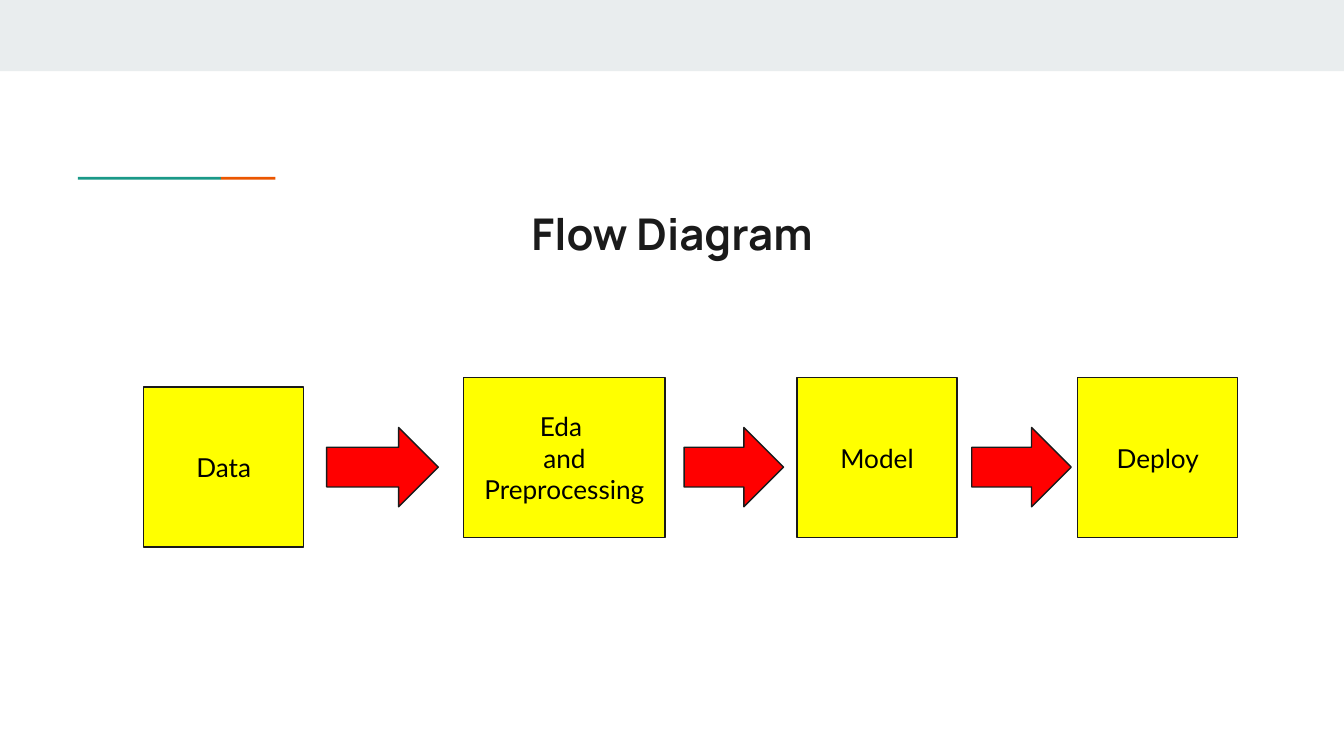
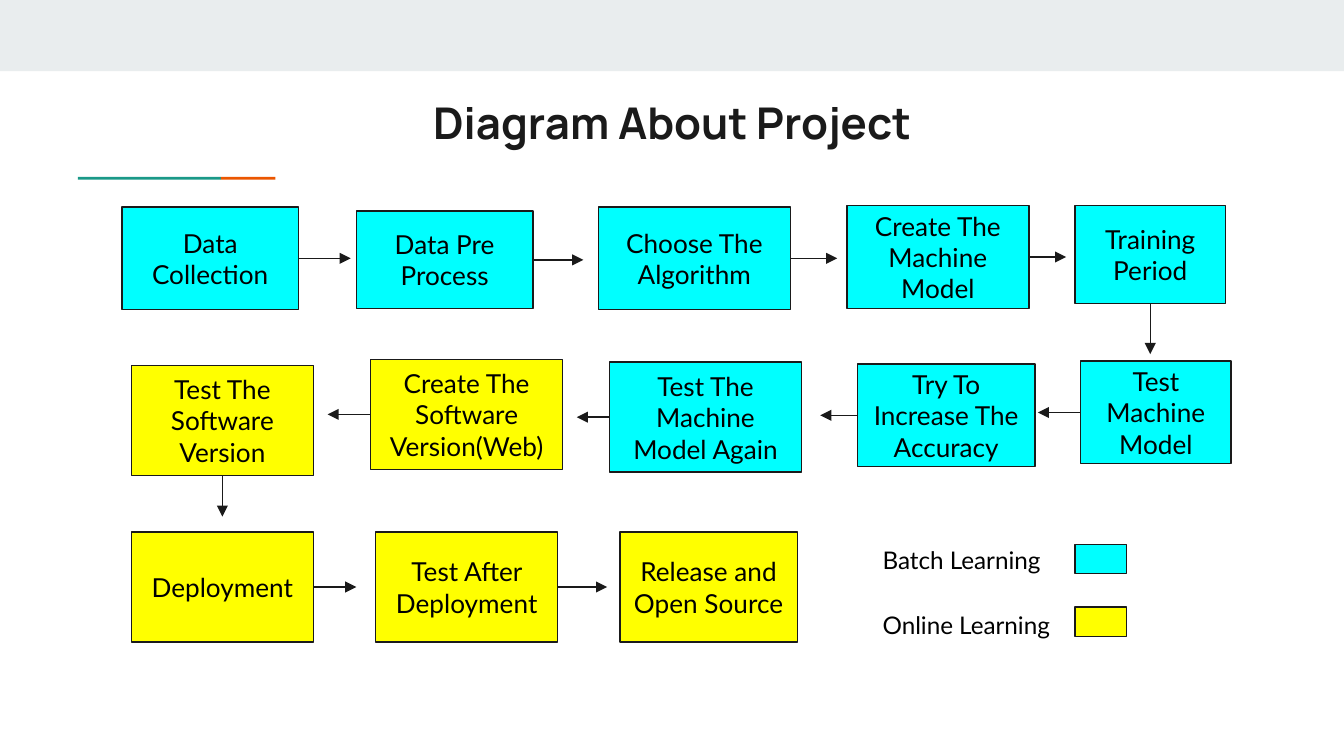
from lxml.etree import SubElement
from pptx import Presentation
from pptx.dml.color import RGBColor
from pptx.enum.shapes import MSO_CONNECTOR, MSO_SHAPE
from pptx.enum.text import MSO_ANCHOR, PP_ALIGN
from pptx.oxml.ns import qn
from pptx.util import Pt

BAND = RGBColor(0xE9, 0xED, 0xEE)
TEAL = RGBColor(0x1A, 0x99, 0x88)
ORANGE = RGBColor(0xEB, 0x56, 0x00)
INK = RGBColor(0x1A, 0x1A, 0x1A)
BLACK = RGBColor(0, 0, 0)
YELLOW = RGBColor(0xFF, 0xFF, 0)
CYAN = RGBColor(0, 0xFF, 0xFF)
RED = RGBColor(0xFF, 0, 0)

LEFT, BOTTOM, RIGHT = 1, 2, 3
STEP_TOP, STEP_SIZE = 202.3, 85.7
ARROW_TOP, ARROW_HEIGHT = 229, 42.5

STEPS = [
    ("Data", 77, 207.4, STEP_SIZE),
    ("Eda \nand Preprocessing", 248.4, STEP_TOP, 108),
    ("Model", 427, STEP_TOP, STEP_SIZE),
    ("Deploy", 577.4, STEP_TOP, STEP_SIZE),
]
BLOCK_ARROWS = [(175, 59.8), (366.5, 53.3), (520.6, 53.3)]

STAGES = [
    ("Data Collection", CYAN, 65.4, 110.9, 94.5, 55, RIGHT, 28),
    ("Data Pre Process", CYAN, 191, 113, 94.5, 52.5, RIGHT, 27),
    ("Choose The Algorithm", CYAN, 320.5, 110.9, 103, 55, RIGHT, 25),
    ("Create The Machine Model", CYAN, 453.7, 110.2, 97.5, 55, RIGHT, 20),
    ("Training Period", CYAN, 576, 110.2, 80.5, 52.5, BOTTOM, 27),
    ("Test Machine Model", CYAN, 579, 193.5, 80.5, 55, LEFT, 23),
    ("Try To Increase The Accuracy", CYAN, 459.4, 195, 95, 55, LEFT, 20),
    ("Test The Machine Model Again", CYAN, 326.5, 194, 103, 59, LEFT, 17.5),
    ("Create The Software Version(Web)", YELLOW, 198.5, 192.5, 103, 59, LEFT, 23),
    ("Test The Software Version", YELLOW, 70.4, 195.8, 97.5, 59, BOTTOM, 22),
    ("Deployment", YELLOW, 70.4, 285, 97.5, 59, RIGHT, 23),
    ("Test After Deployment", YELLOW, 201.3, 285, 97.5, 59, RIGHT, 26.5),
    ("Release and Open Source", YELLOW, 332.1, 285, 95, 59, None, 0),
]
LEGEND = [("Batch Learning", CYAN, 285, 291.6), ("Online Learning", YELLOW, 319.7, 325.3)]


class Deck:
    """Holds the shared style and the current slide."""

    def __init__(self):
        self.prs = Presentation()
        self.prs.slide_width, self.prs.slide_height = Pt(720), Pt(405)

    def slide(self, title, title_top):
        self.s = self.prs.slides.add_slide(self.prs.slide_layouts[6])
        self.shape(0, 0, 720, 38.2, BAND, line=None)
        self.shape(41.8, 94.8, 76.6, 1.5, TEAL, line=None)
        self.shape(118.4, 94.8, 29.2, 1.5, ORANGE, line=None)
        self.label(title, 57.4, title_top, 605.3, 42.5, size=23.4, font="Manrope",
                   color=INK, bold=True, align=PP_ALIGN.CENTER)

    def shape(self, x, y, w, h, fill, line=INK, kind=MSO_SHAPE.RECTANGLE):
        sp = self.s.shapes.add_shape(kind, Pt(x), Pt(y), Pt(w), Pt(h))
        sp.shadow.inherit = False
        sp.fill.solid()
        sp.fill.fore_color.rgb = fill
        if line is None:
            sp.line.fill.background()
        else:
            sp.line.color.rgb = line
            sp.line.width = Pt(0.75)
        return sp

    def text(self, sp, content, size=14, font="Lato", color=BLACK, bold=False,
             align=PP_ALIGN.CENTER, anchor=MSO_ANCHOR.MIDDLE):
        tf = sp.text_frame
        tf.word_wrap = True
        tf.vertical_anchor = anchor
        tf.margin_left = tf.margin_right = tf.margin_top = tf.margin_bottom = Pt(7.2)
        for i, part in enumerate(content.split("\n")):
            p = tf.add_paragraph() if i else tf.paragraphs[0]
            p.alignment = align
            r = p.add_run()
            r.text = part
            r.font.size, r.font.name, r.font.bold = Pt(size), font, bold
            r.font.color.rgb = color

    def label(self, content, x, y, w, h, **style):
        sp = self.s.shapes.add_textbox(Pt(x), Pt(y), Pt(w), Pt(h))
        self.text(sp, content, anchor=MSO_ANCHOR.TOP, **style)

    def box(self, content, x, y, w, h, fill):
        sp = self.shape(x, y, w, h, fill)
        self.text(sp, content)
        return sp

    def arrow(self, sp, side, length):
        mid_x, mid_y = sp.left + sp.width // 2, sp.top + sp.height // 2
        x, y, dx, dy = {
            LEFT: (sp.left, mid_y, -1, 0),
            BOTTOM: (mid_x, sp.top + sp.height, 0, 1),
            RIGHT: (sp.left + sp.width, mid_y, 1, 0),
        }[side]
        c = self.s.shapes.add_connector(MSO_CONNECTOR.STRAIGHT, x, y,
                                        x + dx * Pt(length), y + dy * Pt(length))
        c.begin_connect(sp, side)
        c.line.color.rgb = INK
        c.line.width = Pt(0.75)
        pr = c.element.spPr
        SubElement(pr.find(qn("a:ln")), qn("a:tailEnd"), type="triangle")
        SubElement(pr, qn("a:effectLst"))


def main():
    deck = Deck()

    deck.slide("Flow Diagram", 103.7)
    for content, x, y, w in STEPS:
        deck.box(content, x, y, w, STEP_SIZE, YELLOW)
    for x, w in BLOCK_ARROWS:
        deck.shape(x, ARROW_TOP, w, ARROW_HEIGHT, RED, kind=MSO_SHAPE.RIGHT_ARROW)

    deck.slide("Diagram About Project", 44)
    for content, fill, x, y, w, h, side, length in STAGES:
        sp = deck.box(content, x, y, w, h, fill)
        if side is not None:
            deck.arrow(sp, side, length)
    for content, fill, text_top, swatch_top in LEGEND:
        deck.label(content, 465.8, text_top, 108, 26, size=13, align=PP_ALIGN.LEFT)
        deck.shape(576, swatch_top, 27.5, 15.6, fill)

    deck.prs.save("out.pptx")


if __name__ == "__main__":
    main()
